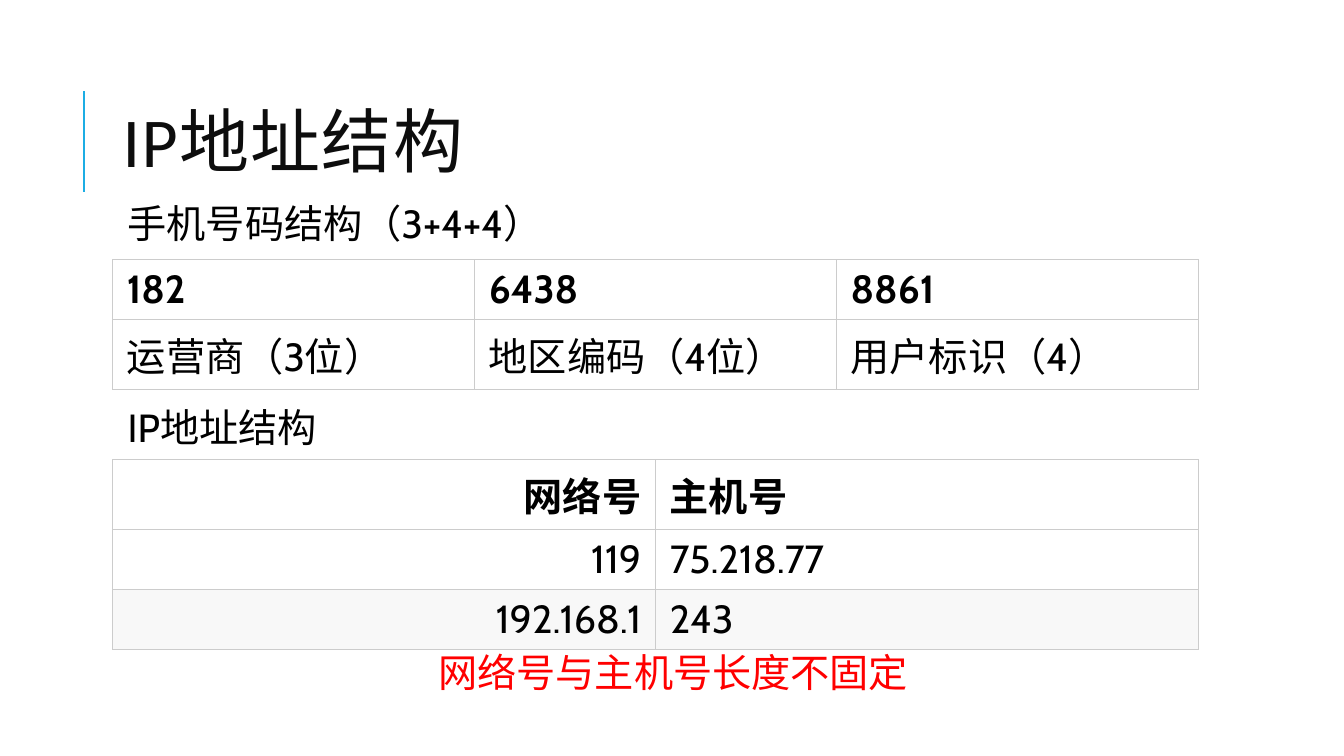
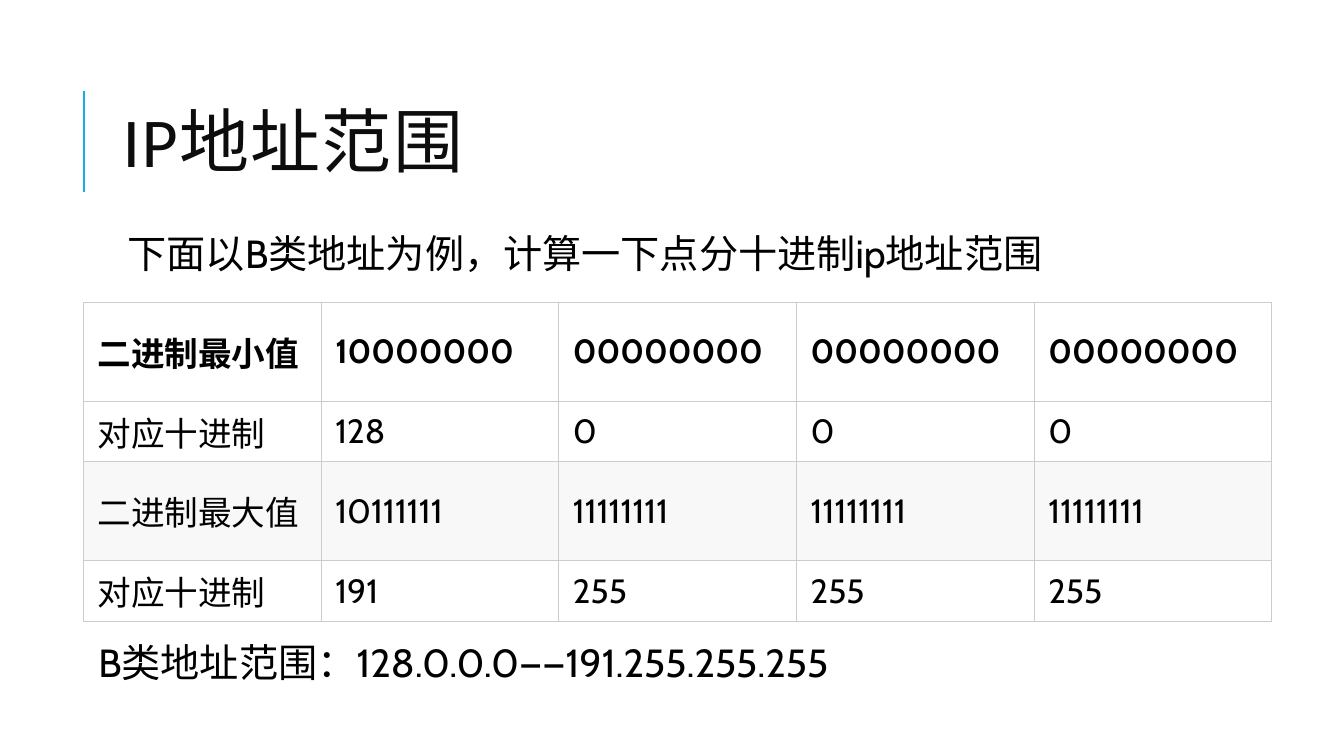
from dataclasses import dataclass

from lxml import etree
from pptx import Presentation
from pptx.dml.color import RGBColor
from pptx.enum.shapes import MSO_CONNECTOR
from pptx.enum.text import MSO_ANCHOR, PP_ALIGN
from pptx.oxml.ns import qn
from pptx.util import Cm, Pt

STRAIGHT = MSO_CONNECTOR.STRAIGHT
MIDDLE, TOP = MSO_ANCHOR.MIDDLE, MSO_ANCHOR.TOP
LEFT, RIGHT = PP_ALIGN.LEFT, PP_ALIGN.RIGHT


@dataclass(frozen=True)
class Theme:
    accent: str = "1CADE4"
    title: str = "0D0D0D"
    text: str = "000000"
    alert: str = "FF0000"
    border: str = "CCCCCC"
    row: str = "FFFFFF"
    shaded_row: str = "F8F8F8"
    title_font: str = "Calibri"
    body_font: str = "Cabin"
    title_size: int = 50
    body_size: int = 28
    small_size: int = 24


THEME = Theme()
TITLE_STYLE = dict(font=THEME.title_font, size=THEME.title_size,
                   color=THEME.title, line_spacing=0.8, tracking=1)


def write_text(frame, text, font=THEME.body_font, size=THEME.body_size,
               color=THEME.text, bold=False, align=LEFT, anchor=TOP,
               line_spacing=1.0, tracking=0, margins=(0.25, 0.13)):
    frame.word_wrap = True
    frame.vertical_anchor = anchor
    frame.margin_left, frame.margin_top = Cm(margins[0]), Cm(margins[1])
    frame.margin_right, frame.margin_bottom = Cm(margins[0]), Cm(margins[1])
    paragraph = frame.paragraphs[0]
    paragraph.alignment = align
    paragraph.line_spacing = line_spacing
    run = paragraph.add_run()
    run.text = text
    run.font.name = font
    run.font.size = Pt(size)
    run.font.bold = bold
    run.font.color.rgb = RGBColor.from_string(color)
    if tracking:
        run.font._element.set("spc", str(tracking * 100))


def draw_borders(cell):
    properties = cell._tc.get_or_add_tcPr()
    for side in ("a:lnL", "a:lnR", "a:lnT", "a:lnB"):
        line = etree.SubElement(properties, qn(side), w=str(Pt(0.75)))
        fill = etree.SubElement(line, qn("a:solidFill"))
        etree.SubElement(fill, qn("a:srgbClr"), val=THEME.border)


# Content: captions are (text, left, top, width, colour)
SLIDES = [
    dict(
        title="IP地址结构",
        captions=[
            ("手机号码结构（3+4+4）", 2.84, 5.03, 27, THEME.text),
            ("IP地址结构", 2.84, 10.16, 27, THEME.text),
            ("网络号与主机号长度不固定", 10.67, 16.33, 12.75, THEME.alert),
        ],
        tables=[
            dict(left=2.84, top=6.55, width=27.36, heights=[1.51, 1.76],
                 size=THEME.body_size, first_align=LEFT,
                 rows=[["182", "6438", "8861"],
                       ["运营商（3位）", "地区编码（4位）", "用户标识（4）"]]),
            dict(left=2.84, top=11.58, width=27.36, heights=[1.76, 1.51, 1.51],
                 size=THEME.body_size, first_align=RIGHT,
                 rows=[["网络号", "主机号"],
                       ["119", "75.218.77"],
                       ["192.168.1", "243"]]),
        ],
    ),
    dict(
        title="IP地址范围",
        captions=[
            ("下面以B类地址为例，计算一下点分十进制ip地址范围",
             2.84, 5.79, 27, THEME.text),
            ("B类地址范围：128.0.0.0——191.255.255.255",
             2.1, 16.1, 27, THEME.text),
        ],
        tables=[
            dict(left=2.1, top=7.62, width=29.95,
                 heights=[2.49, 1.53, 2.49, 1.53],
                 size=THEME.small_size, first_align=LEFT,
                 rows=[["二进制最小值", "10000000"] + ["00000000"] * 3,
                       ["对应十进制", "128"] + ["0"] * 3,
                       ["二进制最大值", "10111111"] + ["11111111"] * 3,
                       ["对应十进制", "191"] + ["255"] * 3]),
        ],
    ),
]

prs = Presentation()
prs.slide_width, prs.slide_height = Cm(33.87), Cm(19.05)
blank = prs.slide_layouts[6]

for content in SLIDES:
    slide = prs.slides.add_slide(blank)

    # Accent rule and title
    rule = slide.shapes.add_connector(STRAIGHT, Cm(2.12), Cm(4.83),
                                      Cm(2.12), Cm(2.3))
    rule.line.color.rgb = RGBColor.from_string(THEME.accent)
    rule.line.width = Pt(1.5)
    etree.SubElement(rule._element.spPr, qn("a:effectLst"))
    heading = slide.shapes.add_textbox(Cm(2.84), Cm(1.63), Cm(27), Cm(4.17))
    write_text(heading.text_frame, content["title"], anchor=MIDDLE,
               **TITLE_STYLE)

    # Captions
    for text, left, top, width, color in content["captions"]:
        caption = slide.shapes.add_textbox(Cm(left), Cm(top),
                                           Cm(width), Cm(1.42))
        write_text(caption.text_frame, text, color=color, line_spacing=0.9,
                   margins=(0.38, 0.13))

    # Tables: bold first row, every third row shaded
    for data in content["tables"]:
        rows, heights = data["rows"], data["heights"]
        columns = len(rows[0])
        table = slide.shapes.add_table(
            len(rows), columns, Cm(data["left"]), Cm(data["top"]),
            Cm(data["width"]), Cm(sum(heights))).table
        table.first_row = table.horz_banding = False
        for column in table.columns:
            column.width = Cm(data["width"] / columns)
        for r, values in enumerate(rows):
            table.rows[r].height = Cm(heights[r])
            row_color = THEME.shaded_row if r == 2 else THEME.row
            for c, value in enumerate(values):
                cell = table.cell(r, c)
                draw_borders(cell)
                cell.fill.solid()
                cell.fill.fore_color.rgb = RGBColor.from_string(row_color)
                write_text(cell.text_frame, value, size=data["size"],
                           bold=r == 0,
                           align=data["first_align"] if c == 0 else LEFT)
                cell.vertical_anchor = MIDDLE
                cell.margin_left = cell.margin_right = Cm(0.36)
                cell.margin_top = cell.margin_bottom = Cm(0.15)

prs.save("out.pptx")
